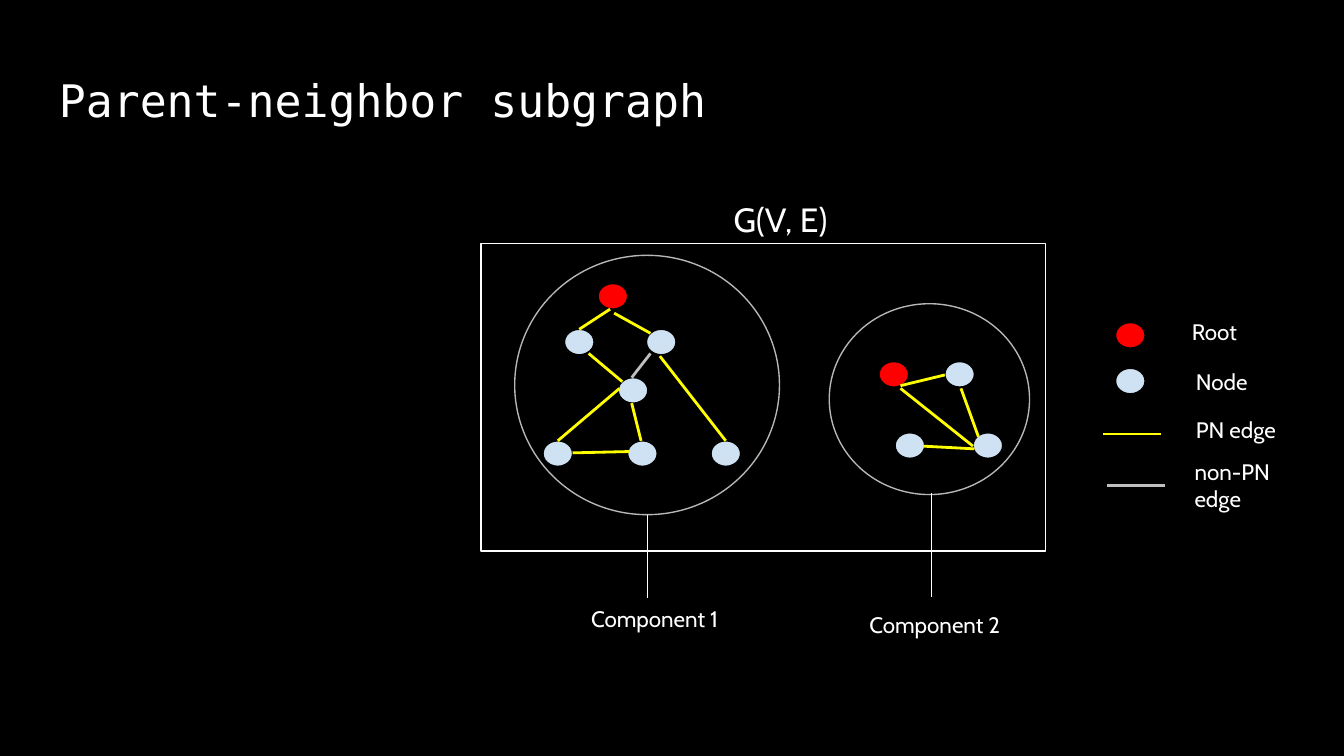
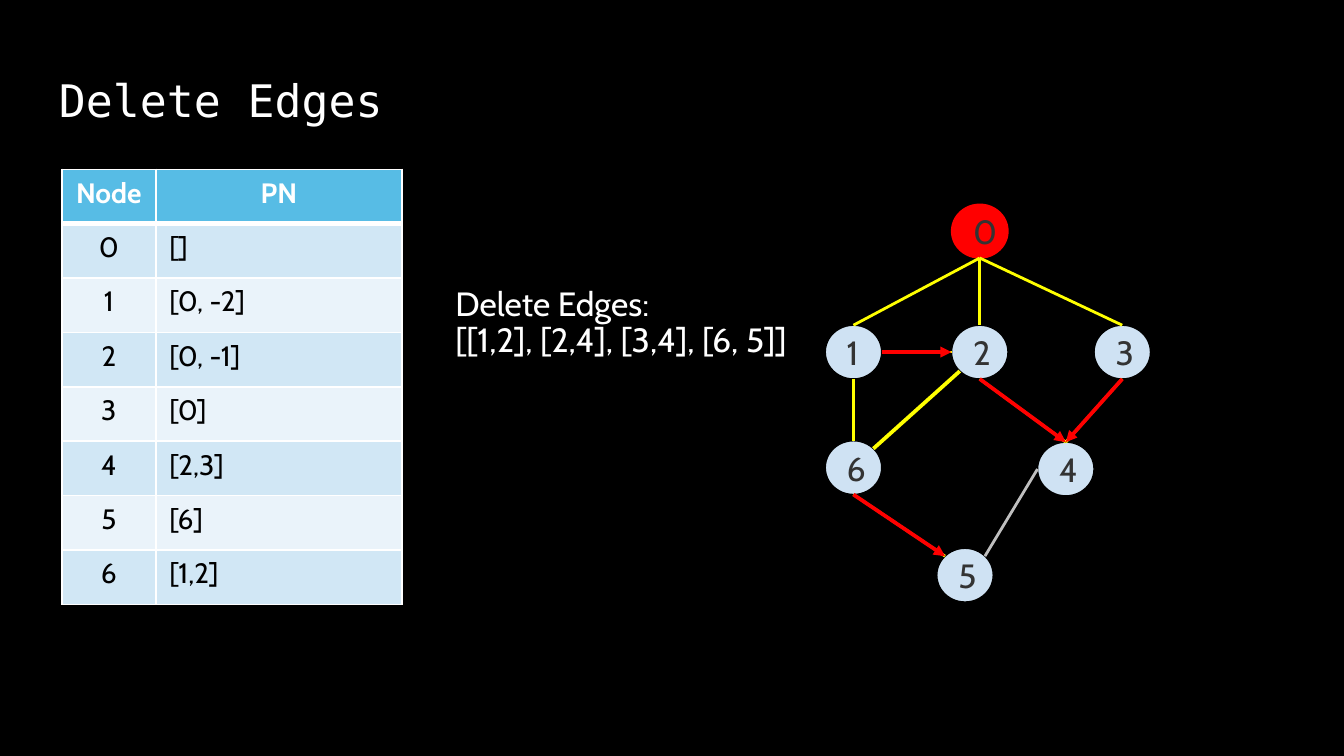
import math

import lxml.etree
import pptx
import pptx.dml.color
import pptx.enum.shapes
import pptx.enum.text
import pptx.oxml
import pptx.oxml.ns
import pptx.util

Inches = pptx.util.Inches
Pt = pptx.util.Pt
qn = pptx.oxml.ns.qn

BLACK, WHITE, GRAY = "000000", "FFFFFF", "BFBFBF"
RING, INK = "B7B7B7", "333333"
ROOT, NODE, EDGE = "FF0000", "CFE2F3", "FFFF00"
HEADER, BANDS = "57BCE5", ("D1E7F5", "EAF3FA")
TITLE_FONT, BODY_FONT = "DejaVu Sans Mono", "Cabin"


def color(value):
    return pptx.dml.color.RGBColor.from_string(value)


def write(frame, text, size=12, font=BODY_FONT, ink=WHITE, bold=False,
          align=None, spacing=None, indent=None):
    """Put text in a frame, one paragraph per line."""
    for number, line in enumerate(text.split("\n")):
        paragraph = frame.paragraphs[0] if number == 0 else frame.add_paragraph()
        paragraph.alignment = align or pptx.enum.text.PP_ALIGN.LEFT
        if spacing:
            paragraph.line_spacing = spacing
        if indent:
            properties = paragraph._p.get_or_add_pPr()
            properties.set("marL", str(Inches(indent)))
            properties.set("indent", "0")
        run = paragraph.add_run()
        run.text = line
        run.font.size = Pt(size)
        run.font.name = font
        run.font.bold = bold
        run.font.color.rgb = color(ink)


class Deck:
    def __init__(self):
        self.show = pptx.Presentation()
        # Widescreen, 16 to 9
        self.show.slide_width = Inches(10)
        self.show.slide_height = Inches(10 * 9 / 16)
        self.slide = None

    def new_slide(self, title, title_width):
        self.slide = self.show.slides.add_slide(self.show.slide_layouts[6])
        background = self.slide.background.fill
        background.solid()
        background.fore_color.rgb = color(BLACK)
        self.label(0.34, 0.49, title_width, 0.63, title, grow=False,
                   size=24, font=TITLE_FONT, spacing=0.9)

    def set_frame(self, frame):
        frame.word_wrap = True
        frame.margin_left = frame.margin_right = Inches(0.1)
        frame.margin_top = frame.margin_bottom = Inches(0.1)

    def label(self, left, top, width, height, text, grow=True, **style):
        box = self.slide.shapes.add_textbox(
            Inches(left), Inches(top), Inches(width), Inches(height))
        self.set_frame(box.text_frame)
        if grow:
            box.text_frame.auto_size = pptx.enum.text.MSO_AUTO_SIZE.SHAPE_TO_FIT_TEXT
        write(box.text_frame, text, **style)

    def shape(self, kind, left, top, width, height, fill=None, line=BLACK):
        outline = self.slide.shapes.add_shape(
            kind, Inches(left), Inches(top), Inches(width), Inches(height))
        outline.shadow.inherit = False
        if fill:
            outline.fill.solid()
            outline.fill.fore_color.rgb = color(fill)
        else:
            outline.fill.background()
        outline.line.color.rgb = color(line)
        outline.line.width = Pt(0.75)
        return outline

    def ellipse(self, left, top, width, height, text="", **look):
        circle = self.shape(pptx.enum.shapes.MSO_SHAPE.OVAL,
                            left, top, width, height, **look)
        if text:
            self.set_frame(circle.text_frame)
            circle.text_frame.vertical_anchor = pptx.enum.text.MSO_ANCHOR.MIDDLE
            write(circle.text_frame, text, size=18, ink=INK)

    def rectangle(self, left, top, width, height, **look):
        self.shape(pptx.enum.shapes.MSO_SHAPE.RECTANGLE,
                   left, top, width, height, **look)

    def line(self, start, end, ink=EDGE, width=1.5, arrow=False):
        edge = self.slide.shapes.add_connector(
            pptx.enum.shapes.MSO_CONNECTOR.STRAIGHT,
            *(Inches(value) for value in (*start, *end)))
        edge.line.color.rgb = color(ink)
        edge.line.width = Pt(width)
        if arrow:
            lxml.etree.SubElement(edge.line._get_or_add_ln(), qn("a:tailEnd"),
                                  type="triangle")
        lxml.etree.SubElement(edge._element.spPr, qn("a:effectLst"))

    def border(self, cell, side, width):
        properties = cell._tc.get_or_add_tcPr()
        line = lxml.etree.SubElement(properties, qn("a:" + side), w=str(Pt(width)))
        fill = lxml.etree.SubElement(line, qn("a:solidFill"))
        lxml.etree.SubElement(fill, qn("a:srgbClr"), val=WHITE)

    def table(self, left, top, widths, height, rows):
        grid = self.slide.shapes.add_table(
            len(rows), len(widths), Inches(left), Inches(top),
            Inches(sum(widths)), Inches(height)).table
        for column, width in zip(grid.columns, widths):
            column.width = Inches(width)
        for r, values in enumerate(rows):
            for c, value in enumerate(values):
                cell = grid.cell(r, c)
                heading = r == 0
                # Borders come before the fill in the cell properties
                for side in ("lnL", "lnR", "lnT", "lnB"):
                    thick = (heading and side == "lnB") or (r == 1 and side == "lnT")
                    self.border(cell, side, 3 if thick else 1)
                cell.fill.solid()
                cell.fill.fore_color.rgb = color(HEADER if heading else BANDS[(r - 1) % 2])
                centered = heading or c == 0
                write(cell.text_frame, value, size=15, bold=heading,
                      ink=WHITE if heading else BLACK,
                      align=pptx.enum.text.PP_ALIGN.CENTER if centered else None)


def subgraph_slide(deck):
    deck.new_slide("Parent-neighbor subgraph", 5.87)

    # Nodes of both components and of the legend
    roots = [(4.45, 2.11), (6.54, 2.69), (8.3, 2.4)]
    nodes = [(4.2, 2.45), (4.81, 2.45), (4.6, 2.81), (4.04, 3.28), (4.67, 3.28),
             (5.29, 3.28), (7.03, 2.69), (6.66, 3.22), (7.24, 3.22), (8.3, 2.74)]
    for fill, places in ((NODE, nodes), (ROOT, roots)):
        for left, top in places:
            deck.ellipse(left, top, 0.22, 0.19, fill=fill)

    # Edges, with the legend's samples last
    pn_edges = [
        ((4.54, 2.3), (4.31, 2.45)), ((4.57, 2.33), (4.84, 2.48)),
        ((4.38, 2.63), (4.63, 2.84)), ((4.91, 2.65), (5.4, 3.28)),
        ((4.7, 3), (4.77, 3.28)), ((4.68, 3.36), (4.26, 3.37)),
        ((4.61, 2.89), (4.15, 3.28)), ((6.7, 2.87), (7.03, 2.79)),
        ((6.7, 2.89), (7.24, 3.32)), ((7.15, 2.89), (7.28, 3.25)),
        ((7.25, 3.34), (6.87, 3.32)), ((8.21, 3.23), (8.64, 3.23))]
    other_edges = [((4.84, 2.63), (4.7, 2.81)), ((8.24, 3.61), (8.67, 3.61))]
    for ink, edges in ((EDGE, pn_edges), (GRAY, other_edges)):
        for start, end in edges:
            deck.line(start, end, ink)

    # Graph frame, component rings and their leaders
    deck.rectangle(3.58, 1.81, 4.2, 2.29, line=WHITE)
    deck.ellipse(3.83, 1.9, 1.97, 1.93, line=RING)
    deck.ellipse(6.17, 2.26, 1.49, 1.42, line=RING)
    deck.line((4.82, 3.83), (4.82, 4.45), WHITE, 0.75)
    deck.line((6.93, 3.67), (6.93, 4.44), WHITE, 0.75)

    # Labels
    deck.label(5.36, 1.38, 1.18, 0.5, "G(V, E)", size=18)
    deck.label(4.3, 4.4, 1.23, 0.4, "Component 1")
    deck.label(6.37, 4.45, 1.48, 0.4, "Component 2")
    for left, top, height, text in ((8.77, 2.27, 0.4, "Root"), (8.8, 2.64, 0.4, "Node"),
                                    (8.8, 3, 0.4, "PN edge"),
                                    (8.79, 3.31, 0.61, "non-PN edge")):
        deck.label(left, top, 1.07, height, text)


def delete_edges_slide(deck):
    deck.new_slide("Delete Edges", 9.32)
    deck.label(3.17, 2.04, 6.49, 3.74, "Delete Edges:\n[[1,2], [2,4], [3,4], [6, 5]]",
               grow=False, size=18, spacing=0.9, indent=0.12)

    # Graph nodes: left and top of each
    width, height = 0.42, 0.4
    nodes = {0: (7.08, 1.52), 1: (6.14, 2.42), 2: (7.08, 2.42), 3: (8.14, 2.42),
             4: (7.72, 3.29), 5: (6.97, 4.08), 6: (6.14, 3.28)}
    for number, (left, top) in nodes.items():
        fill, line = (ROOT, ROOT) if number == 0 else (NODE, BLACK)
        deck.ellipse(left, top, width, height, str(number), fill=fill, line=line)

    # Edges run between points on the node outlines, given by compass direction
    compass = {name: math.radians(45 * step) for step, name in
               enumerate(("E", "SE", "S", "SW", "W", "NW", "N", "NE"))}

    def port(number, direction):
        left, top = nodes[number]
        angle = compass[direction]
        return (left + width / 2 * (1 + math.cos(angle)),
                top + height / 2 * (1 + math.sin(angle)))

    def connect(start, end, **look):
        deck.line(port(*start), port(*end), **look)

    kept = [((0, "S"), (1, "N")), ((0, "S"), (2, "N")),
            ((0, "S"), (3, "N")), ((1, "S"), (6, "N"))]
    deleted = [((2, "S"), (4, "N")), ((3, "S"), (4, "N")),
               ((6, "S"), (5, "NW")), ((1, "E"), (2, "W"))]
    for start, end in kept + deleted:
        connect(start, end)
    connect((2, "SW"), (6, "NE"), width=2)
    connect((4, "W"), (5, "NE"), ink=GRAY)

    # Parent-neighbor table
    neighbors = ["[]", "[0, -2]", "[0, -1]", "[0]", "[2,3]", "[6]", "[1,2]"]
    rows = [("Node", "PN")] + [(str(n), text) for n, text in enumerate(neighbors)]
    deck.table(0.46, 1.26, (0.7, 1.83), 3.24, rows)

    # Deleted edges in red on top
    for start, end in deleted:
        connect(start, end, ink=ROOT, width=2, arrow=True)


def main():
    deck = Deck()
    subgraph_slide(deck)
    delete_edges_slide(deck)
    deck.show.save("out.pptx")


if __name__ == "__main__":
    main()
